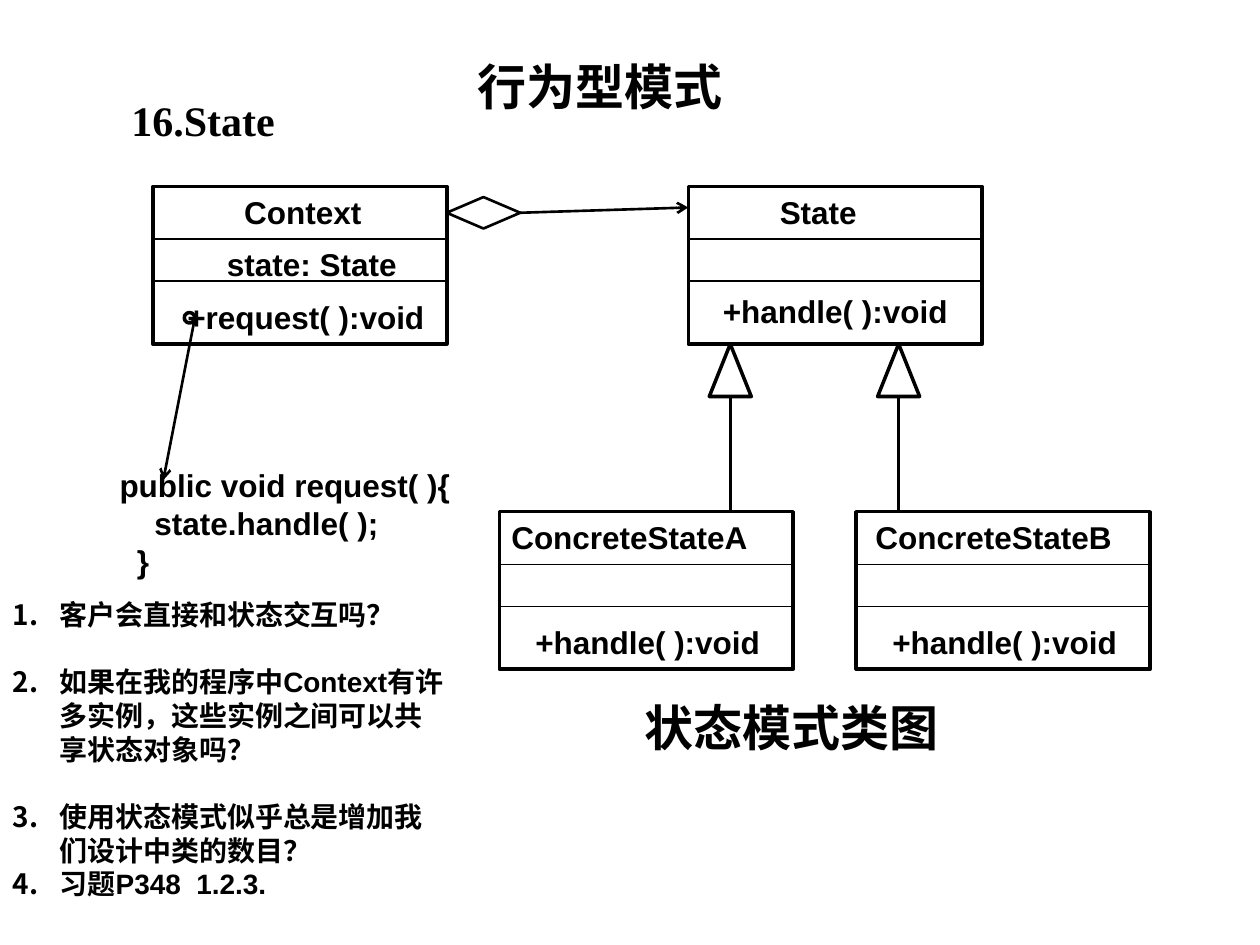
from lxml import etree
from pptx import Presentation
from pptx.dml.color import RGBColor
from pptx.enum import shapes, text
from pptx.oxml.ns import qn
from pptx.util import Pt

COLORS = {"ink": "000000"}
INK = RGBColor.from_string(COLORS["ink"])
FRAME_FORMAT = {
    "margin_left": Pt(7.2), "margin_right": Pt(7.2),
    "margin_top": Pt(3.6), "margin_bottom": Pt(3.6),
    "vertical_anchor": text.MSO_ANCHOR.TOP,
    "auto_size": text.MSO_AUTO_SIZE.NONE,
}
PARA_FORMAT = {"alignment": text.PP_ALIGN.LEFT, "space_before": Pt(0)}

deck = Presentation()
deck.slide_width, deck.slide_height = Pt(720), Pt(540)
page = deck.slides.add_slide(deck.slide_layouts[1])


def write(box, place, lines, size=18, font="Arial", wrap=False):
    """Place a text shape and fill it with bold left-aligned paragraphs."""
    box.left, box.top, box.width, box.height = [Pt(v) for v in place]
    frame = box.text_frame
    for name, value in FRAME_FORMAT.items():
        setattr(frame, name, value)
    frame.word_wrap = wrap
    frame.text = "\n".join(lines)
    font_format = {"size": Pt(size), "name": font, "bold": True}
    for para in frame.paragraphs:
        for name, value in PARA_FORMAT.items():
            setattr(para, name, value)
        for span in para.runs:
            for name, value in font_format.items():
                setattr(span.font, name, value)
            span.font.color.rgb = INK
    return frame


def draw(kind, place, weight, arrow=False):
    """Draw an unfilled preset shape, or a line (x1, y1, x2, y2) when kind is None."""
    ends = [Pt(v) for v in place]
    if kind is None:
        item = page.shapes.add_connector(shapes.MSO_CONNECTOR.STRAIGHT, *ends)
    else:
        item = page.shapes.add_shape(kind, *ends)
        item.fill.background()
        item.shadow.inherit = False
    item.line.color.rgb = INK
    item.line.width = Pt(weight)
    if arrow:
        etree.SubElement(item.line._get_or_add_ln(), qn("a:tailEnd"), type="arrow")
    if kind is None:
        etree.SubElement(item._element.spPr, qn("a:effectLst"))


SHAPE = shapes.MSO_SHAPE

# Headings; the title box is wide enough for one line
write(page.shapes.title, (265.7, 28.4, 172, 41), ["行为型模式"], 28)
labels = [
    (68, 50.7, 96.5, 36, "16.State", 24, "Times New Roman"),
    (361.4, 394.9, 182, 41, "状态模式类图", 28, "Arial"),
    (122.6, 136.5, 111.6, 28.8, "state: State", 18, "Arial"),
]

# Class boxes: left, top, name, name left, name width, method, method left, method top
CLASS_WIDTH, CLASS_HEIGHT = 168, 90
METHOD_WIDTH = 149
classes = [
    (87.3, 106.6, "Context", 132.5, 81.4, "+request( ):void", 100, 166.6),
    (393.3, 106.6, "State", 438.5, 58.3, "+handle( ):void", 406, 163.3),
    (285.3, 292.4, "ConcreteStateA", 285.1, 149, "+handle( ):void", 298.8, 352.5),
    (489.3, 292.4, "ConcreteStateB", 493.2, 149, "+handle( ):void", 502.8, 352.5),
]
for left, top, name, name_left, name_width, method, method_left, method_top in classes:
    draw(SHAPE.RECTANGLE, (left, top, CLASS_WIDTH, CLASS_HEIGHT), 2)
    for offset in (30, 54):
        draw(None, (left, top + offset, left + CLASS_WIDTH, top + offset), 0.75)
    labels.append((name_left, top, name_width, 28.8, name, 18, "Arial"))
    labels.append((method_left, method_top, METHOD_WIDTH, 28.8, method, 18, "Arial"))

for left, top, width, height, label, size, font in labels:
    box = page.shapes.add_textbox(0, 0, 0, 0)
    write(box, (left, top, width, height), [label], size, font)

# Aggregation from Context to State
draw(SHAPE.DIAMOND, (255.3, 112.6, 42, 18), 1.5)
draw(None, (297.3, 121.6, 393.3, 118.6), 1.5, arrow=True)

# Inheritance from the concrete states to State
for center in (417.3, 513.5):
    draw(SHAPE.ISOSCELES_TRIANGLE, (center - 12, 196.6, 24, 30), 2)
    draw(None, (center, 226.6, center, 292.4), 1.5)

# Code behind request( )
draw(SHAPE.OVAL, (105.3, 178.6, 6, 6), 2)
draw(None, (111, 183.6, 93.3, 274.4), 1.5, arrow=True)
write(page.shapes.add_textbox(0, 0, 0, 0), (61.2, 262.8, 203, 72),
      ["public void request( ){", "    state.handle( );", "  }"])

# Questions
questions = [
    "客户会直接和状态交互吗？",
    "如果在我的程序中Context有许多实例，这些实例之间可以共享状态对象吗？",
    "使用状态模式似乎总是增加我们设计中类的数目？",
    "习题P348  1.2.3.",
]
body = write(page.placeholders[1], (0, 337.7, 263.5, 196), questions, 16, wrap=True)
for para, gap in zip(body.paragraphs, (0, 19.5, 19.5, 0)):
    para.space_before = Pt(gap)
    properties = para._p.get_or_add_pPr()
    properties.set("marL", str(Pt(27)))
    properties.set("indent", str(Pt(-27)))
    etree.SubElement(properties, qn("a:buAutoNum"), type="arabicPeriod")

deck.save("out.pptx")
